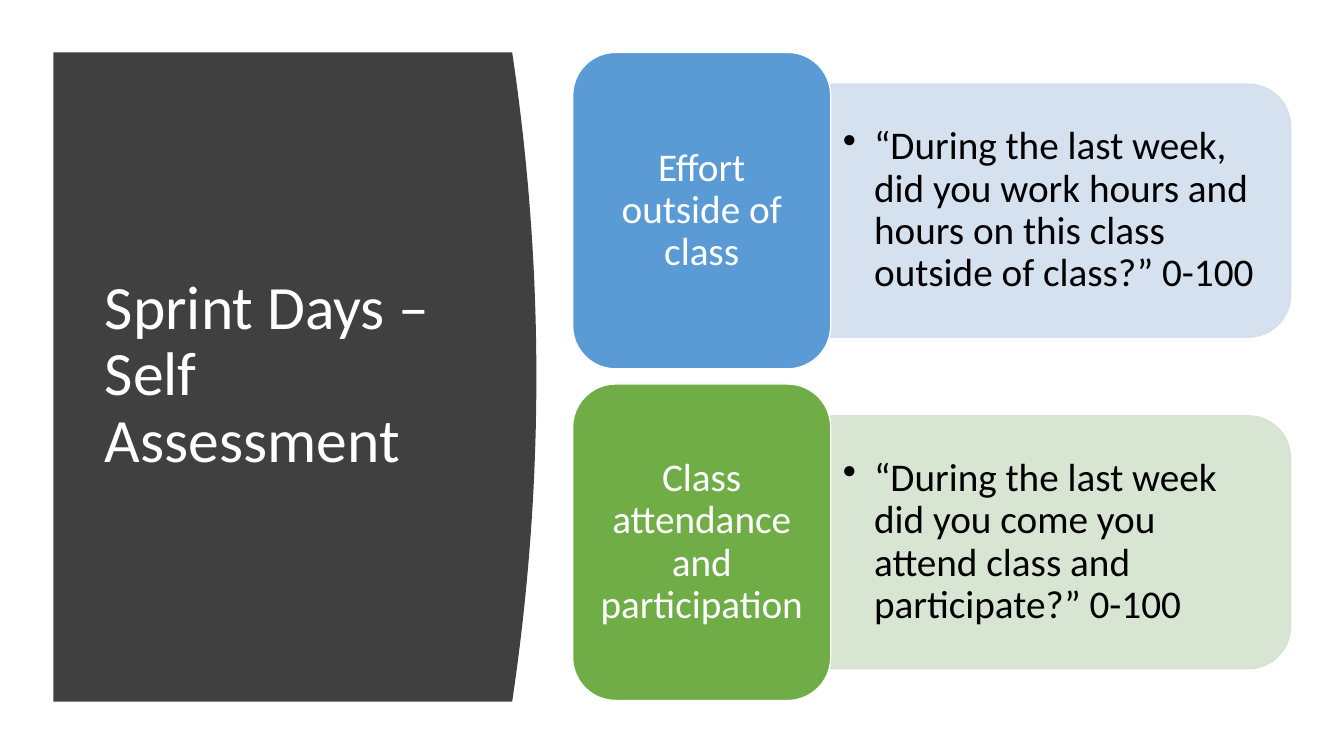
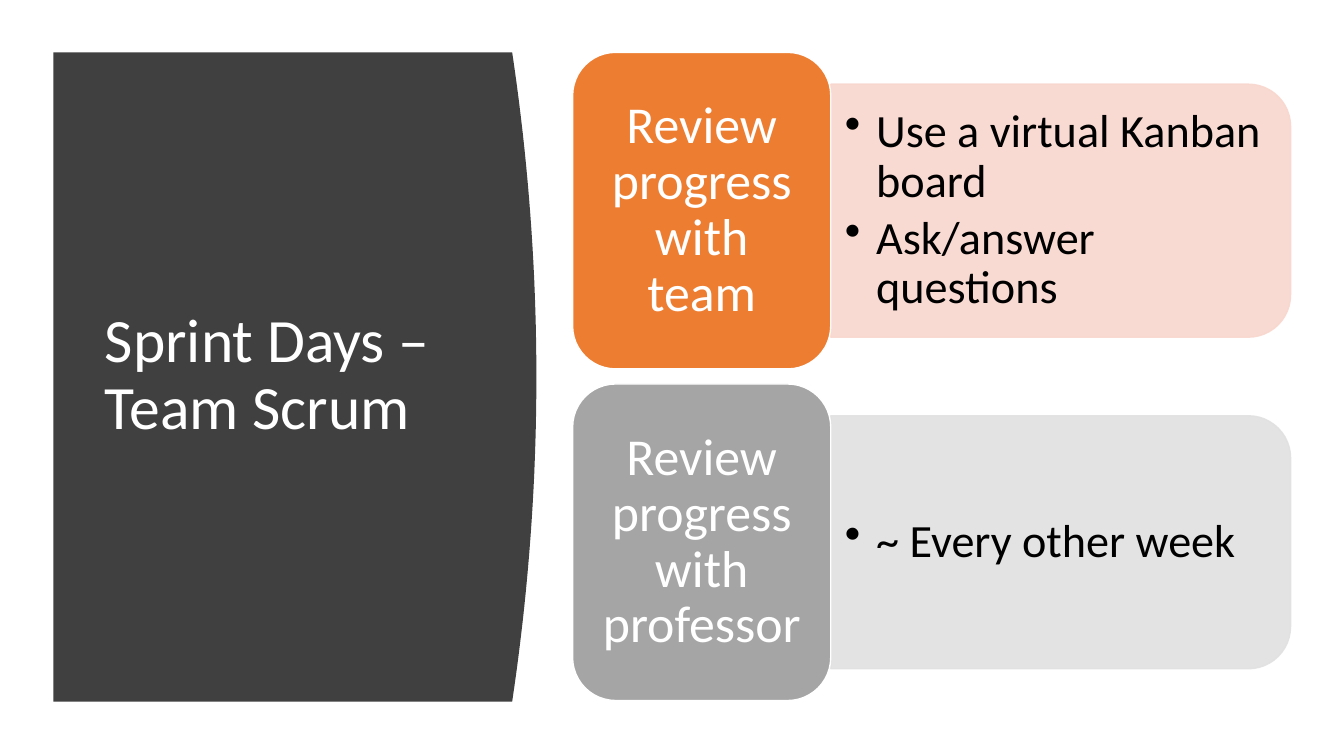
from lxml import etree
from pptx import Presentation
from pptx.dml.color import RGBColor
from pptx.enum.shapes import MSO_SHAPE
from pptx.enum.text import MSO_ANCHOR, MSO_AUTO_SIZE, PP_ALIGN
from pptx.oxml.ns import qn
from pptx.util import Inches, Pt

# Content: title, text sizes, insets, rows of (label, theme, bullets)
SLIDES = [
    {"title": "Sprint Days – Self Assessment",
     "label_size": 28, "label_inset": (0.12, 0.06),
     "bullet_size": 28, "bullet_inset": (0.12, 0.06),
     "rows": [
         ("Effort outside of class", "blue",
          ["“During the last week, did you work hours and hours on this "
           "class outside of class?” 0-100"]),
         ("Class attendance and participation", "green",
          ["“During the last week did you come you attend class and "
           "participate?” 0-100"]),
     ]},
    {"title": "Sprint Days – Team Scrum",
     "label_size": 37, "label_inset": (0.15, 0.08),
     "bullet_size": 33, "bullet_inset": (0.14, 0.07),
     "rows": [
         ("Review progress with team", "orange",
          ["Use a virtual Kanban board", "Ask/answer questions"]),
         ("Review progress with professor", "gray",
          ["~ Every other week"]),
     ]},
]

# Shared style
FONT = "Calibri"
COLORS = {
    "band": "404040", "white": "FFFFFF", "black": "000000",
    "blue": "5B9BD5", "blue_tint": "D2DEEF",
    "green": "70AD47", "green_tint": "D5E3CF",
    "orange": "ED7D31", "orange_tint": "F8D7CE",
    "gray": "A5A5A5", "gray_tint": "E1E1E1",
}

# Shared geometry, in inches
BAND_LEFT, BAND_RIGHT, BAND_BULGE = 0.53, 5.08, 0.24
BAND_TOP, BAND_BOTTOM, BAND_STEPS = 0.52, 6.96, 40
TITLE_BOX = (0.94, 1.11, 3.74, 5.24)
LABEL_LEFT, LABEL_W, LABEL_H = 5.68, 2.56, 3.14
PANEL_W, PANEL_H, PANEL_TEXT_W, PANEL_TEXT_H = 4.56, 2.51, 4.44, 2.27
ROW_TOP, ROW_PITCH = 0.52, 3.29
BULLET_INDENT = 0.31


def rgb(name):
    return RGBColor.from_string(COLORS[name])


def box(left, top, width, height):
    return [Inches(v) for v in (left, top, width, height)]


def paint(shape, fill, line=None, alpha=None):
    shape.shadow.inherit = False
    shape.fill.solid()
    shape.fill.fore_color.rgb = rgb(fill)
    if line:
        shape.line.color.rgb = rgb(line)
        shape.line.width = Pt(1)
    else:
        shape.line.fill.background()
    if alpha:
        for clr in shape._element.spPr.iter(qn("a:srgbClr")):
            etree.SubElement(clr, qn("a:alpha")).set("val", str(alpha * 1000))


def setup_frame(tf, inset=None):
    tf.word_wrap = True
    tf.auto_size = MSO_AUTO_SIZE.NONE
    tf.vertical_anchor = MSO_ANCHOR.MIDDLE
    if inset:
        tf.margin_left = tf.margin_right = Inches(inset[0])
        tf.margin_top = tf.margin_bottom = Inches(inset[1])


def style(p, size, color, align=PP_ALIGN.LEFT):
    p.alignment = align
    p.line_spacing = 0.9
    p.font.name, p.font.size = FONT, Pt(size)
    p.font.color.rgb = rgb(color)


def add_bullet(p):
    pPr = p._p.get_or_add_pPr()
    pPr.set("marL", str(Inches(BULLET_INDENT)))
    pPr.set("indent", str(-Inches(BULLET_INDENT)))
    bullet = etree.Element(qn("a:buChar"), char="•")
    pPr.find(qn("a:defRPr")).addprevious(bullet)


def add_band(s):
    """Dark band with a bulging right edge, behind the title."""
    half = (BAND_BOTTOM - BAND_TOP) / 2
    edge = []
    for i in range(BAND_STEPS + 1):
        t = 2 * i / BAND_STEPS - 1
        edge.append((Inches(BAND_RIGHT + BAND_BULGE * (1 - t * t)),
                     Inches(BAND_TOP + half * (1 + t))))
    builder = s.shapes.build_freeform(Inches(BAND_LEFT), Inches(BAND_TOP))
    builder.add_line_segments(edge + [(Inches(BAND_LEFT), Inches(BAND_BOTTOM))])
    band = builder.convert_to_shape()
    paint(band, "band")
    s.shapes.title._element.addprevious(band._element)


def add_title(s, text):
    title = s.shapes.title
    title.left, title.top, title.width, title.height = box(*TITLE_BOX)
    tf = title.text_frame
    tf.text = text
    setup_frame(tf)
    style(tf.paragraphs[0], 44, "white")


def add_row(s, top, row, spec):
    label, theme, bullets = row
    tint = theme + "_tint"
    panel_left, middle = LABEL_LEFT + LABEL_W, top + LABEL_H / 2

    # Tinted panel, turned so that its round corners face right
    panel = s.shapes.add_shape(
        MSO_SHAPE.ROUND_2_SAME_RECTANGLE,
        *box(panel_left + (PANEL_W - PANEL_H) / 2, middle - PANEL_W / 2,
             PANEL_H, PANEL_W))
    panel.rotation = 90
    paint(panel, tint, tint, alpha=90)

    # Bullets, upright over the panel
    tf = s.shapes.add_textbox(
        *box(panel_left, middle - PANEL_TEXT_H / 2,
             PANEL_TEXT_W, PANEL_TEXT_H)).text_frame
    setup_frame(tf, spec["bullet_inset"])
    tf.text = "\n".join(bullets)
    for p in tf.paragraphs:
        style(p, spec["bullet_size"], "black")
        p.space_after = Pt(round(spec["bullet_size"] * 0.15))
        add_bullet(p)

    # Label
    sp = s.shapes.add_shape(MSO_SHAPE.ROUNDED_RECTANGLE,
                            *box(LABEL_LEFT, top, LABEL_W, LABEL_H))
    paint(sp, theme, "white")
    setup_frame(sp.text_frame, spec["label_inset"])
    sp.text_frame.text = label
    style(sp.text_frame.paragraphs[0], spec["label_size"], "white",
          PP_ALIGN.CENTER)


def main():
    prs = Presentation()
    prs.slide_width, prs.slide_height = Inches(13.33), Inches(7.5)
    for spec in SLIDES:
        s = prs.slides.add_slide(prs.slide_layouts[5])
        add_band(s)
        add_title(s, spec["title"])
        for i, row in enumerate(spec["rows"]):
            add_row(s, ROW_TOP + i * ROW_PITCH, row, spec)
    prs.save("out.pptx")


if __name__ == "__main__":
    main()
